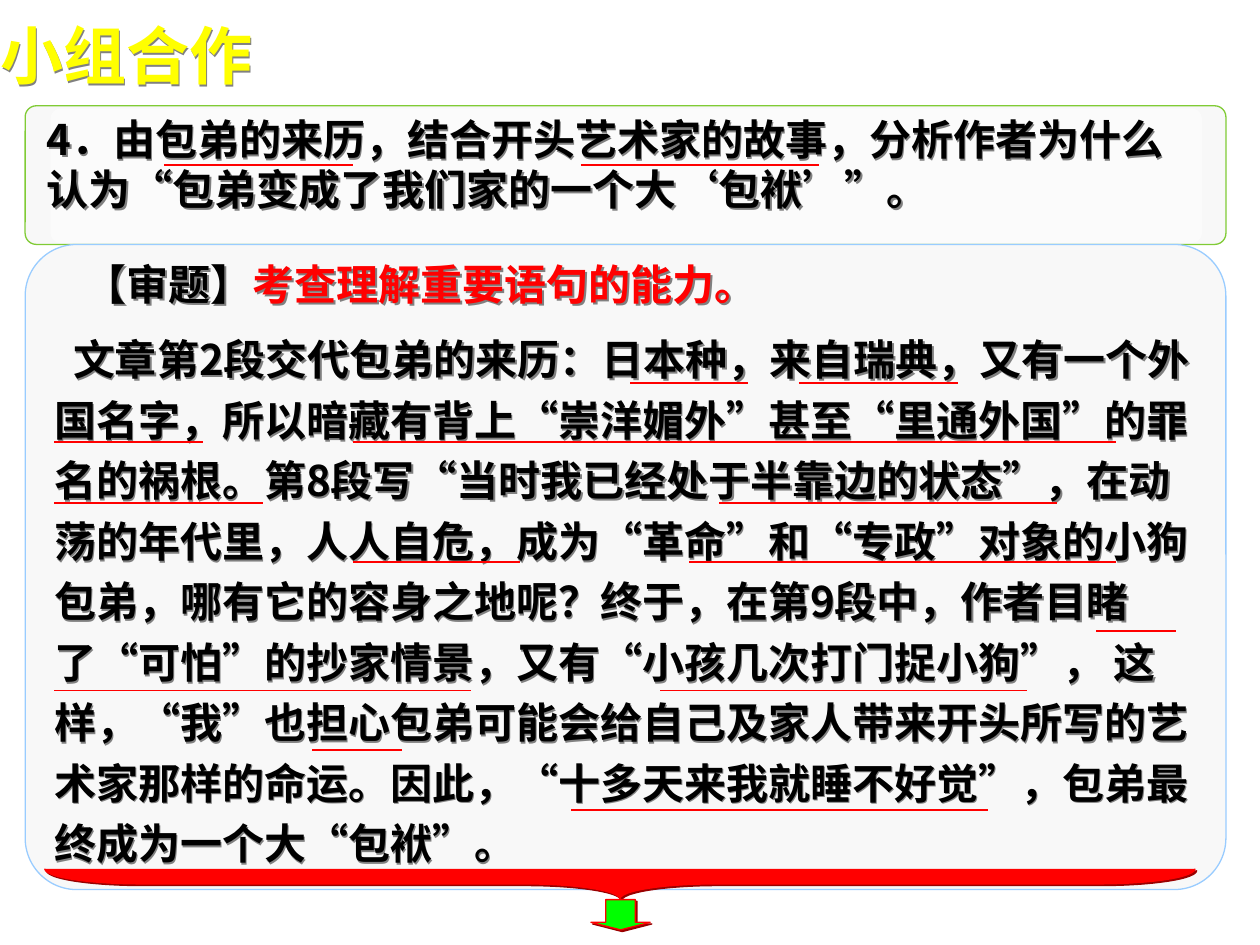
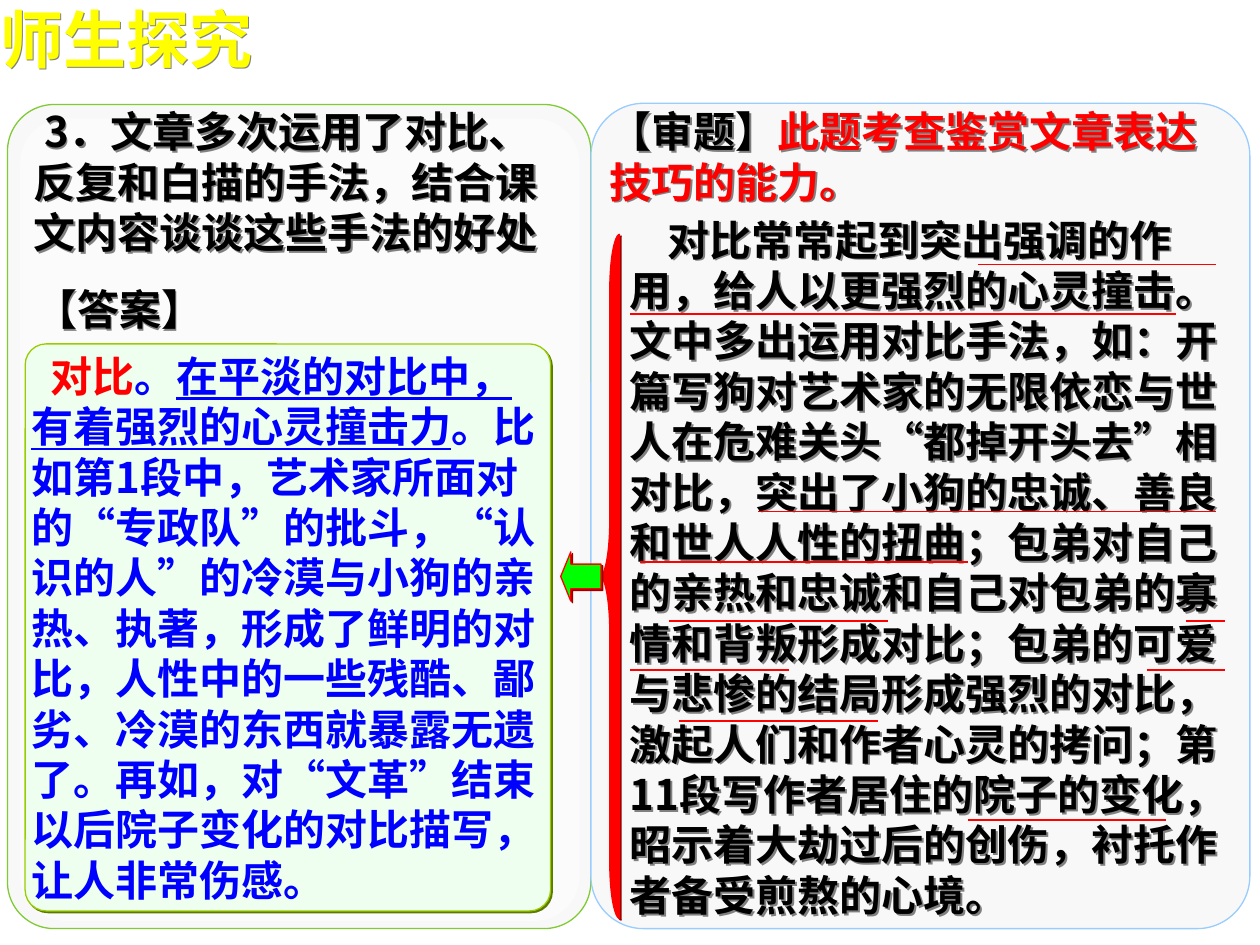
from collections import namedtuple

from lxml.etree import SubElement
from pptx import Presentation
from pptx.dml.color import RGBColor
from pptx.enum.shapes import MSO_CONNECTOR, MSO_SHAPE
from pptx.enum.text import MSO_ANCHOR, MSO_AUTO_SIZE, PP_ALIGN
from pptx.oxml.ns import qn
from pptx.util import Inches, Pt

Box = namedtuple("Box", "left top width height")

BLACK = RGBColor(0, 0, 0)
WHITE = RGBColor(255, 255, 255)
RED = RGBColor(255, 0, 0)
DARK_RED = RGBColor(0x99, 0, 0)
YELLOW = RGBColor(255, 255, 0)
BLUE = RGBColor(0, 0, 255)
BRIGHT_GREEN = RGBColor(0, 255, 0)
PANEL_GREY = RGBColor(0xF8, 0xF8, 0xF8)
LEAF_GREEN = RGBColor(0x80, 0xCB, 0x35)
SKY_BLUE = RGBColor(0x99, 0xCC, 0xFF)
PALE_GREEN = RGBColor(0xEF, 0xFF, 0xEF)
LIME = RGBColor(0x99, 0xCC, 0)
OLIVE = RGBColor(0x5C, 0x7A, 0)
TEXT_SHADOW = RGBColor(0x80, 0x80, 0x80)

BODY_FONT = "Noto Sans CJK SC"
TITLE_FONT = "Arial"


def inches(box):
    """Turn a box in inches into a list of lengths."""
    return [Inches(value) for value in box]


def add_shadow(shape, color):
    """Give a shape, or the text of an unfilled box, a hard shadow."""
    effects = SubElement(shape._element.spPr, qn("a:effectLst"))
    shadow = SubElement(effects, qn("a:outerShdw"), dist=str(Pt(1.4)),
                        dir="2700000", algn="ctr", rotWithShape="0")
    SubElement(shadow, qn("a:srgbClr"), val=str(color))


def add_figure(page, kind, box, fill, line=None, adjust=(), shadow=None, alpha=None):
    """Add a preset shape with its fill, outline, shadow and transparency."""
    figure = page.shapes.add_shape(kind, *inches(box))
    for index, value in enumerate(adjust):
        figure.adjustments[index] = value
    figure.fill.solid()
    figure.fill.fore_color.rgb = fill
    if line is None:
        figure.line.fill.background()
    else:
        figure.line.color.rgb = line
        figure.line.width = Pt(0.75)
    if shadow is None:
        figure.shadow.inherit = False
    else:
        add_shadow(figure, shadow)
    if alpha is not None:
        color = figure._element.spPr.find(qn("a:solidFill"))[0]
        SubElement(color, qn("a:alpha"), val=str(alpha * 1000))
    return figure


def write_text(shape, spans, size=24, font=BODY_FONT, anchor=MSO_ANCHOR.TOP,
               inset=(0, 0), indent=0, spacing=1.0, wrap=True):
    """Write one bold paragraph of (text, colour, underline) spans."""
    frame = shape.text_frame
    across, down = inches(inset)
    frame_format = dict(word_wrap=wrap, auto_size=MSO_AUTO_SIZE.NONE,
                        vertical_anchor=anchor, margin_left=across,
                        margin_right=across, margin_top=down, margin_bottom=down)
    for name, value in frame_format.items():
        setattr(frame, name, value)
    para = frame.paragraphs[0]
    para.alignment = PP_ALIGN.LEFT
    para.line_spacing = spacing
    properties = para._p.get_or_add_pPr()
    properties.set("indent", str(Inches(indent)))
    properties.set("hangingPunct", "0")
    for text, color, underline in spans:
        span = para.add_run()
        span.text = text
        span.font.color.rgb = color
        for name, value in dict(size=Pt(size), bold=True, name=font,
                                underline=underline).items():
            setattr(span.font, name, value)
        properties = span._r.get_or_add_rPr()
        properties.set("lang", "zh-CN")
        SubElement(properties, qn("a:ea"), typeface=BODY_FONT)


def add_text(page, box, *spans, **text_format):
    """Add a text box holding one shadowed paragraph."""
    text_box = page.shapes.add_textbox(*inches(box))
    add_shadow(text_box, TEXT_SHADOW)
    write_text(text_box, spans, **text_format)


def add_title(page, text, top):
    """Move and format the title placeholder."""
    title = page.shapes.title
    title.left, title.top, title.width, title.height = inches((0, top, 3.35, 0.6))
    title.fill.background()
    add_shadow(title, TEXT_SHADOW)
    write_text(title, [(text, YELLOW, None)], size=36, font=TITLE_FONT)


def add_underlines(page, box, rows):
    """Draw red rules at (offset down, spans across) measured from the box."""
    for down, spans in rows:
        for start, end in spans:
            y = Inches(box.top + down)
            rule = page.shapes.add_connector(
                MSO_CONNECTOR.STRAIGHT, Inches(box.left + start), y,
                Inches(box.left + end), y)
            rule.line.color.rgb = RED
            rule.line.width = Pt(1)
            SubElement(rule._element.spPr, qn("a:effectLst"))


def add_layered_panel(page, box, inner, radius):
    """Draw a green-edged panel with a translucent white layer."""
    add_figure(page, MSO_SHAPE.ROUNDED_RECTANGLE, box, PANEL_GREY, LEAF_GREEN, [radius])
    add_figure(page, MSO_SHAPE.ROUNDED_RECTANGLE, inner, WHITE, adjust=[radius], alpha=50)


def add_pointer(page, brace_box, curve, arrow, arrow_box, rotation=0):
    """Draw a red brace and the green arrow leading away from it."""
    brace = add_figure(page, MSO_SHAPE.LEFT_BRACE, brace_box, RED, RED,
                       [curve, 0.5], DARK_RED)
    brace.rotation = rotation
    add_figure(page, arrow, arrow_box, BRIGHT_GREEN, RED, [0.5, 0.25], DARK_RED)


def add_wide_question(page, box):
    """Place the question across the full width."""
    add_layered_panel(page, box, Box(box.left + 0.2, box.top + 0.02, 9.14, 1.07), 0.08)
    text_box = Box(box.left + 0.07, box.top + 0.01, 9.1, 0.9)
    question = "4．由包弟的来历，结合开头艺术家的故事，分析作者为什么认为“包弟变成了我们家的一个大‘包袱’”。"
    add_text(page, text_box, (question, BLACK, None),
             anchor=MSO_ANCHOR.MIDDLE, inset=(0.1, 0.05))
    add_underlines(page, text_box, [(0.46, [(1.03, 2.53), (4.34, 6.23)])])


def add_wide_analysis(page, box):
    """Place the analysis under the question, with its pointer below."""
    add_figure(page, MSO_SHAPE.ROUNDED_RECTANGLE, box, PANEL_GREY, SKY_BLUE, [0.08])
    add_text(page, Box(box.left + 0.47, box.top + 0.16, 5.98, 0.36),
             ("【审题】", BLACK, None), ("考查理解重要语句的能力。", RED, None), spacing=0.9)
    text_box = Box(box.left + 0.23, box.top + 0.63, 9.13, 4.32)
    analysis = (
        "文章第2段交代包弟的来历：日本种，来自瑞典，又有一个外国名字，"
        "所以暗藏有背上“崇洋媚外”甚至“里通外国”的罪名的祸根。"
        "第8段写“当时我已经处于半靠边的状态”，在动荡的年代里，人人自危，"
        "成为“革命”和“专政”对象的小狗包弟，哪有它的容身之地呢？"
        "终于，在第9段中，作者目睹了“可怕”的抄家情景，又有“小孩几次打门捉小狗”， 这样，"
        "“我”也担心包弟可能会给自己及家人带来开头所写的艺术家那样的命运。"
        "因此，“十多天来我就睡不好觉”，包弟最终成为一个大“包袱”。")
    add_text(page, text_box, (analysis, BLACK, None), anchor=MSO_ANCHOR.MIDDLE,
             indent=0.15, spacing=1.2)
    add_underlines(page, text_box, [
        (0.47, [(4.57, 5.51), (5.91, 7.17)]),
        (0.94, [(0, 1.18), (2.37, 8.43)]),
        (1.42, [(0, 1.66), (5.28, 7.96)]),
        (1.89, [(2.37, 3.7), (5.04, 8.43)]),
        (2.44, [(8.27, 8.9)]),
        (2.91, [(0, 3.31), (4.81, 7.72)]),
        (3.38, [(2.05, 2.76)]),
        (3.86, [(4.1, 7.41)]),
    ])
    add_pointer(page, Box(box.left + 4.6, box.top + 0.51, 0.24, 9.13), 3.2,
                MSO_SHAPE.DOWN_ARROW, Box(box.left + 4.49, box.top + 5.2, 0.47, 0.24), 270)


def add_answer_column(page, box):
    """Place the question and its answer card in the left column."""
    add_layered_panel(page, box, Box(box.left + 0.1, box.top + 0.11, 4.44, 6.37), 0.08)
    question = "3．文章多次运用了对比、反复和白描的手法，结合课文内容谈谈这些手法的好处"
    add_text(page, Box(box.left + 0.21, box.top + 0.01, 4.17, 1.2),
             (question, BLACK, None), anchor=MSO_ANCHOR.MIDDLE, indent=0.08)
    add_text(page, Box(box.left + 0.22, box.top + 1.42, 1.33, 0.4),
             ("【答案】", BLACK, None), wrap=False)
    card = add_figure(page, MSO_SHAPE.ROUNDED_RECTANGLE,
                      Box(box.left + 0.14, box.top + 1.9, 4.17, 4.5),
                      PALE_GREEN, LIME, [0.04], OLIVE)
    answer = (
        "。比如第1段中，艺术家所面对的“专政队”的批斗，“认识的人”的冷漠与小狗的亲热、执著，"
        "形成了鲜明的对比，人性中的一些残酷、鄙劣、冷漠的东西就暴露无遗了。"
        "再如，对“文革”结束以后院子变化的对比描写，让人非常伤感。")
    write_text(card, [("对比", RED, None), ("。", BLUE, None),
                      ("在平淡的对比中，有着强烈的心灵撞击力", BLUE, True),
                      (answer, BLUE, None)],
               anchor=MSO_ANCHOR.MIDDLE, indent=0.15)


def add_analysis_column(page, box):
    """Place the analysis in the right column, with its pointer to the answer."""
    add_figure(page, MSO_SHAPE.ROUNDED_RECTANGLE, box, PANEL_GREY, SKY_BLUE, [0.08])
    text_box = Box(box.left + 0.31, box.top + 0.88, 4.84, 5.6)
    analysis = (
        "对比常常起到突出强调的作用，给人以更强烈的心灵撞击。文中多出运用对比手法，"
        "如：开篇写狗对艺术家的无限依恋与世人在危难关头“都掉开头去”相对比，"
        "突出了小狗的忠诚、善良和世人人性的扭曲；"
        "包弟对自己的亲热和忠诚和自己对包弟的寡情和背叛形成对比；"
        "包弟的可爱与悲惨的结局形成强烈的对比，激起人们和作者心灵的拷问；"
        "第11段写作者居住的院子的变化，昭示着大劫过后的创伤，衬托作者备受煎熬的心境。")
    add_text(page, text_box, (analysis, BLACK, None), anchor=MSO_ANCHOR.MIDDLE, indent=0.3)
    add_text(page, Box(box.left + 0.15, box.top + 0.02, 4.84, 0.8),
             ("【审题】", BLACK, None), ("此题考查鉴赏文章表达技巧的能力。", RED, None))
    add_underlines(page, text_box, [
        (0.4, [(2.76, 4.65)]),
        (0.79, [(0, 4.33)]),
        (2.36, [(1.02, 4.65)]),
        (2.76, [(0.08, 2.68)]),
        (3.23, [(0.31, 2.05), (4.41, 4.72)]),
        (3.62, [(0, 1.26), (4.1, 4.72)]),
        (4.02, [(0.39, 1.97)]),
        (4.81, [(2.68, 4.25)]),
    ])
    add_pointer(page, Box(box.left + 0.07, box.top + 1.04, 0.16, 5.43), 2.8,
                MSO_SHAPE.LEFT_ARROW, Box(box.left - 0.24, box.top + 3.56, 0.32, 0.39))


def main():
    """Build both pages and save the deck."""
    deck = Presentation()
    deck.slide_width, deck.slide_height = Inches(10), Inches(7.5)
    title_only = deck.slide_layouts[5]

    page = deck.slides.add_slide(title_only)
    add_title(page, "小组合作", 0.13)
    add_wide_question(page, Box(0.2, 0.84, 9.53, 1.1))
    add_wide_analysis(page, Box(0.2, 1.94, 9.53, 5.12))

    page = deck.slides.add_slide(title_only)
    add_title(page, "师生探究", 0)
    add_answer_column(page, Box(0.06, 0.83, 4.63, 6.54))
    add_analysis_column(page, Box(4.69, 0.82, 5.23, 6.55))

    deck.save("out.pptx")


if __name__ == "__main__":
    main()
